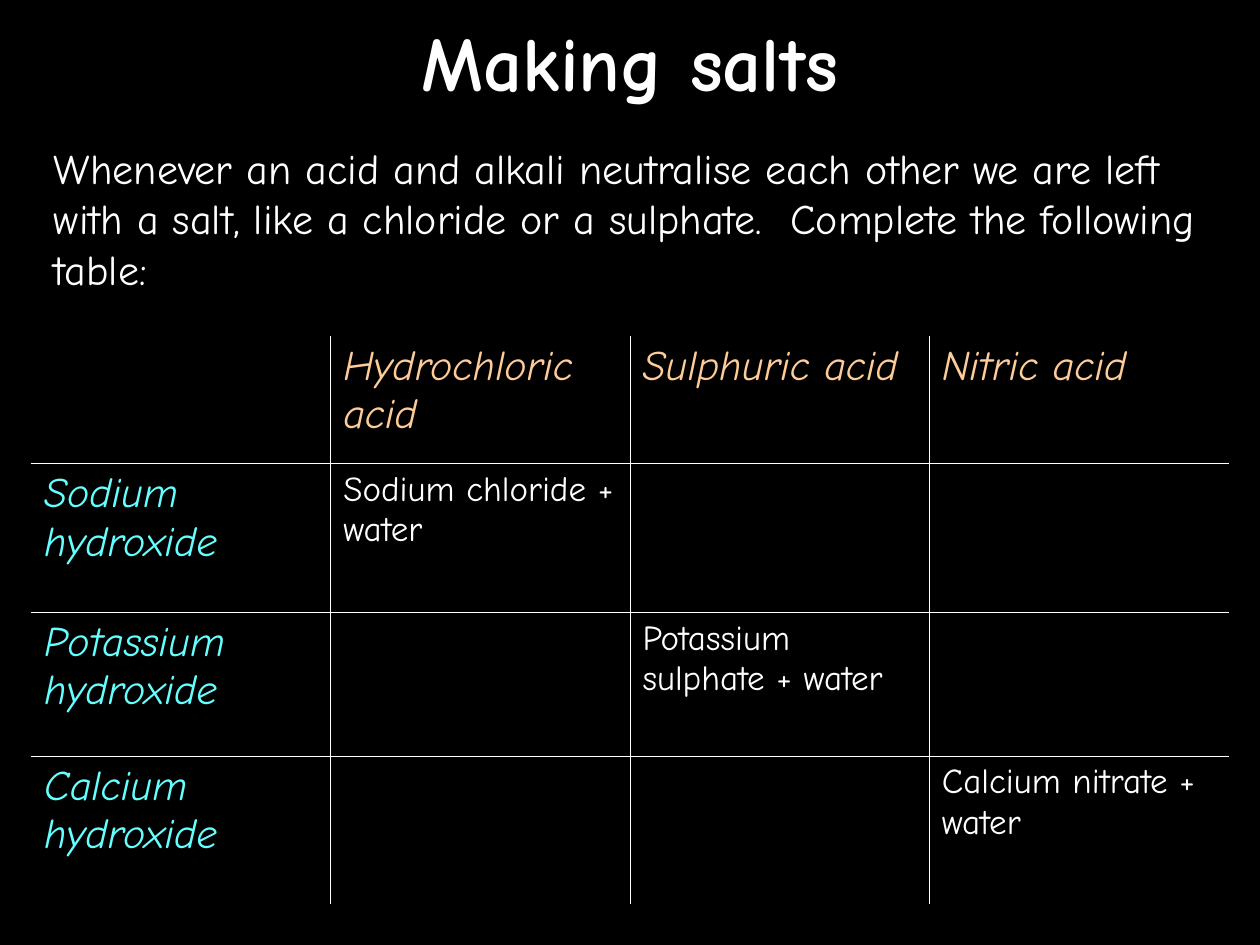
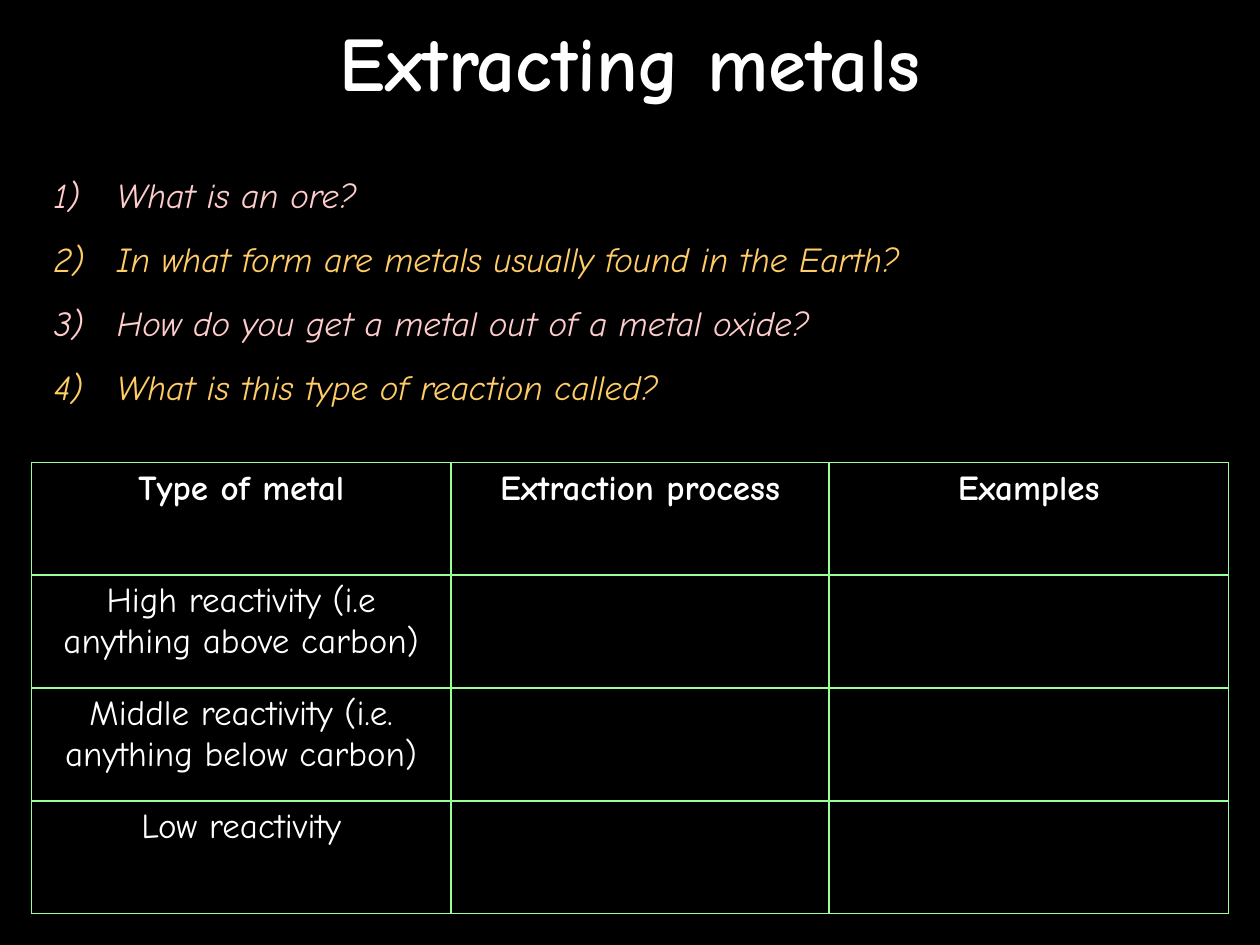
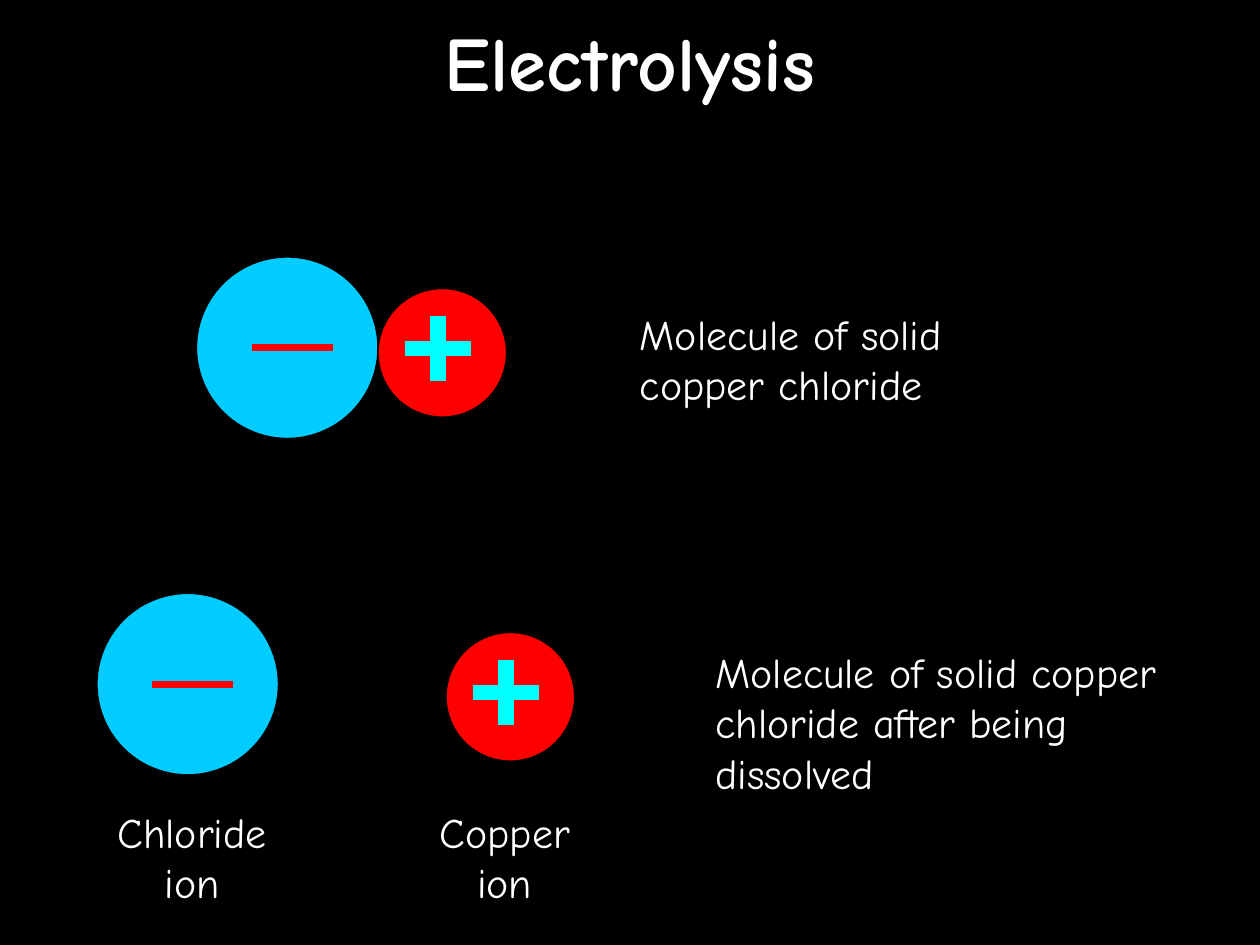
from pptx import Presentation
from pptx.dml.color import RGBColor
from pptx.enum.shapes import MSO_CONNECTOR as Connector, MSO_SHAPE as Shape
from pptx.enum.text import MSO_ANCHOR as Anchor, MSO_AUTO_SIZE as AutoSize, PP_ALIGN as Align
from pptx.oxml.ns import qn
from pptx.util import Inches, Pt
from lxml.etree import SubElement

BLACK = RGBColor(0x00, 0x00, 0x00)
WHITE = RGBColor(0xFF, 0xFF, 0xFF)
PEACH = RGBColor(0xFF, 0xCC, 0x99)
AQUA = RGBColor(0x66, 0xFF, 0xFF)
PINK = RGBColor(0xFF, 0xCC, 0xCC)
GOLD = RGBColor(0xFF, 0xCC, 0x66)
GREEN = RGBColor(0x99, 0xFF, 0x99)
SKY = RGBColor(0x00, 0xCC, 0xFF)
RED = RGBColor(0xFF, 0x00, 0x00)
CYAN = RGBColor(0x00, 0xFF, 0xFF)

FONT = "Comic Neue"
COLUMNS, ROWS = 100, 75
TITLE_SIZE, BODY_SIZE, SMALL_SIZE = 44, 24, 20


class Lesson:
    def __init__(self):
        self.deck = Presentation()
        self.deck.slide_width, self.deck.slide_height = Inches(10), Inches(7.5)
        self.shapes = None

    def area(self, left, top, width, height):
        across = self.deck.slide_width / COLUMNS
        down = self.deck.slide_height / ROWS
        return [round(n) for n in (left * across, top * down, width * across, height * down)]

    def start_page(self, title):
        self.page = self.deck.slides.add_slide(self.deck.slide_layouts[6])
        self.page.background.fill.solid()
        self.page.background.fill.fore_color.rgb = BLACK
        self.shapes = self.page.shapes
        frame = self.text((0, 0, COLUMNS, 9.7), title, TITLE_SIZE, align=Align.CENTER, bold=True)
        frame.auto_size = AutoSize.NONE
        frame.vertical_anchor = Anchor.MIDDLE

    def start_group(self):
        self.shapes = self.page.shapes.add_group_shape().shapes

    def span(self, para, words, size, color=WHITE, align=Align.LEFT, bold=False, italic=False):
        para.alignment = align
        span = para.add_run()
        span.text = words
        font = span.font
        font.name, font.size, font.bold, font.italic = FONT, Pt(size), bold, italic
        font.color.rgb = color

    def frame(self, area):
        frame = self.shapes.add_textbox(*self.area(*area)).text_frame
        frame.word_wrap = True
        frame.auto_size = AutoSize.SHAPE_TO_FIT_TEXT
        return frame

    def text(self, area, words, size=BODY_SIZE, **look):
        frame = self.frame(area)
        self.span(frame.paragraphs[0], words, size, **look)
        return frame

    def questions(self, area, lines, colors):
        frame = self.frame(area)
        for index, words in enumerate(lines):
            para = frame.add_paragraph() if index else frame.paragraphs[0]
            color = colors[index % len(colors)]
            properties = para._p.get_or_add_pPr()
            properties.set("marL", str(Inches(0.5)))
            properties.set("indent", str(-Inches(0.5)))
            tint = SubElement(properties, qn("a:buClr"))
            SubElement(tint, qn("a:srgbClr"), val=str(color))
            SubElement(properties, qn("a:buAutoNum"), type="arabicParenR")
            if index:
                para.space_before = Pt(12.5)
            self.span(para, words, SMALL_SIZE, color, italic=True)

    def border(self, cell, side, color, width):
        line = SubElement(cell._tc.get_or_add_tcPr(), qn(f"a:ln{side}"), w=str(Pt(width)))
        fill = SubElement(line, qn("a:solidFill"))
        SubElement(fill, qn("a:srgbClr"), val=str(color))

    def table(self, left, top, widths, heights, cells, look, inner, outer):
        area = self.area(left, top, sum(widths), sum(heights))
        table = self.shapes.add_table(len(heights), len(widths), *area).table
        table.first_row = table.horz_banding = False
        for column, width in zip(table.columns, widths):
            column.width = self.area(0, 0, width, 0)[2]
        for row, height in zip(table.rows, heights):
            row.height = self.area(0, 0, 0, height)[3]
        last_row, last_column = len(heights) - 1, len(widths) - 1
        for r, row in enumerate(cells):
            for c, words in enumerate(row):
                cell = table.cell(r, c)
                edges = {"L": c == 0, "R": c == last_column, "T": r == 0, "B": r == last_row}
                for side, outside in edges.items():
                    self.border(cell, side, *(outer if outside else inner))
                cell.fill.background()
                if words:
                    self.span(cell.text_frame.paragraphs[0], words, **look(r, c))

    def shape(self, kind, area, fill, line):
        shape = self.shapes.add_shape(kind, *self.area(*area))
        shape.shadow.inherit = False
        shape.fill.solid()
        shape.fill.fore_color.rgb = fill
        shape.line.color.rgb = line
        shape.line.width = Pt(0.75)
        return shape

    def line(self, left, top, length, color, width):
        x, y, run, _ = self.area(left, top, length, 0)
        line = self.shapes.add_connector(Connector.STRAIGHT, x, y, x + run, y)
        line.line.color.rgb = color
        line.line.width = Pt(width)
        SubElement(line._element.spPr, qn("a:effectLst"))

    def chloride_ion(self, left, top):
        self.shape(Shape.OVAL, (left, top, 14.4, 14.4), SKY, BLACK)
        self.line(left + 4.4, top + 7.2, 6.4, RED, 4)

    def copper_ion(self, left, top):
        self.shape(Shape.OVAL, (left, top, 10.2, 10.2), RED, BLACK)
        plus = self.shape(Shape.CROSS, (left + 2.2, top + 2.2, 5.1, 5.1), CYAN, CYAN)
        plus.adjustments[0] = 0.39


def salt_look(row, column):
    if row == 0:
        return dict(size=BODY_SIZE, color=PEACH, italic=True)
    if column == 0:
        return dict(size=BODY_SIZE, color=AQUA, italic=True)
    return dict(size=SMALL_SIZE)


def metal_look(row, column):
    return dict(size=SMALL_SIZE, align=Align.CENTER, bold=row == 0)


def making_salts(lesson):
    lesson.start_page("Making salts")
    lesson.text((3.3, 10.8, 93.3, 13),
                "Whenever an acid and alkali neutralise each other we are left with a salt, "
                "like a chloride or a sulphate.  Complete the following table:")
    cells = [
        ["", "Hydrochloric acid", "Sulphuric acid", "Nitric acid"],
        ["Sodium hydroxide", "Sodium chloride + water", "", ""],
        ["Potassium hydroxide", "", "Potassium sulphate + water", ""],
        ["Calcium hydroxide", "", "", "Calcium nitrate + water"],
    ]
    lesson.table(2.5, 26.7, [95 / 4] * 4, [10.1, 11.8, 11.4, 11.8], cells, salt_look,
                 inner=(WHITE, 0.45), outer=(BLACK, 1.08))


def extracting_metals(lesson):
    lesson.start_page("Extracting metals")
    lesson.questions((3.3, 13.3, 93.3, 19.6), [
        "What is an ore?",
        "In what form are metals usually found in the Earth?",
        "How do you get a metal out of a metal oxide?",
        "What is this type of reaction called?",
    ], [PINK, GOLD])
    cells = [
        ["Type of metal", "Extraction process", "Examples"],
        ["High reactivity (i.e anything above carbon)", "", ""],
        ["Middle reactivity (i.e. anything below carbon)", "", ""],
        ["Low reactivity", "", ""],
    ]
    lesson.table(2.5, 36.7, [33.3, 30, 31.7], [35.8 / 4] * 4, cells, metal_look,
                 inner=(GREEN, 1.08), outer=(GREEN, 1.08))


def electrolysis(lesson):
    lesson.start_page("Electrolysis")
    lesson.start_group()
    lesson.chloride_ion(15.6, 20.4)
    lesson.copper_ion(30, 22.9)
    lesson.text((49.8, 24, 34.6, 9), "Molecule of solid copper chloride")
    lesson.start_group()
    lesson.chloride_ion(7.7, 47.1)
    lesson.copper_ion(35.4, 50.2)
    lesson.text((55.8, 50.8, 38.3, 13), "Molecule of solid copper chloride after being dissolved")
    for left, width, name in [(6.9, 16.7, "Chloride ion"), (31.9, 16.3, "Copper ion")]:
        lesson.text((left, 63.5, width, 9), name, align=Align.CENTER)


def main():
    lesson = Lesson()
    making_salts(lesson)
    extracting_metals(lesson)
    electrolysis(lesson)
    lesson.deck.save("out.pptx")


if __name__ == "__main__":
    main()
